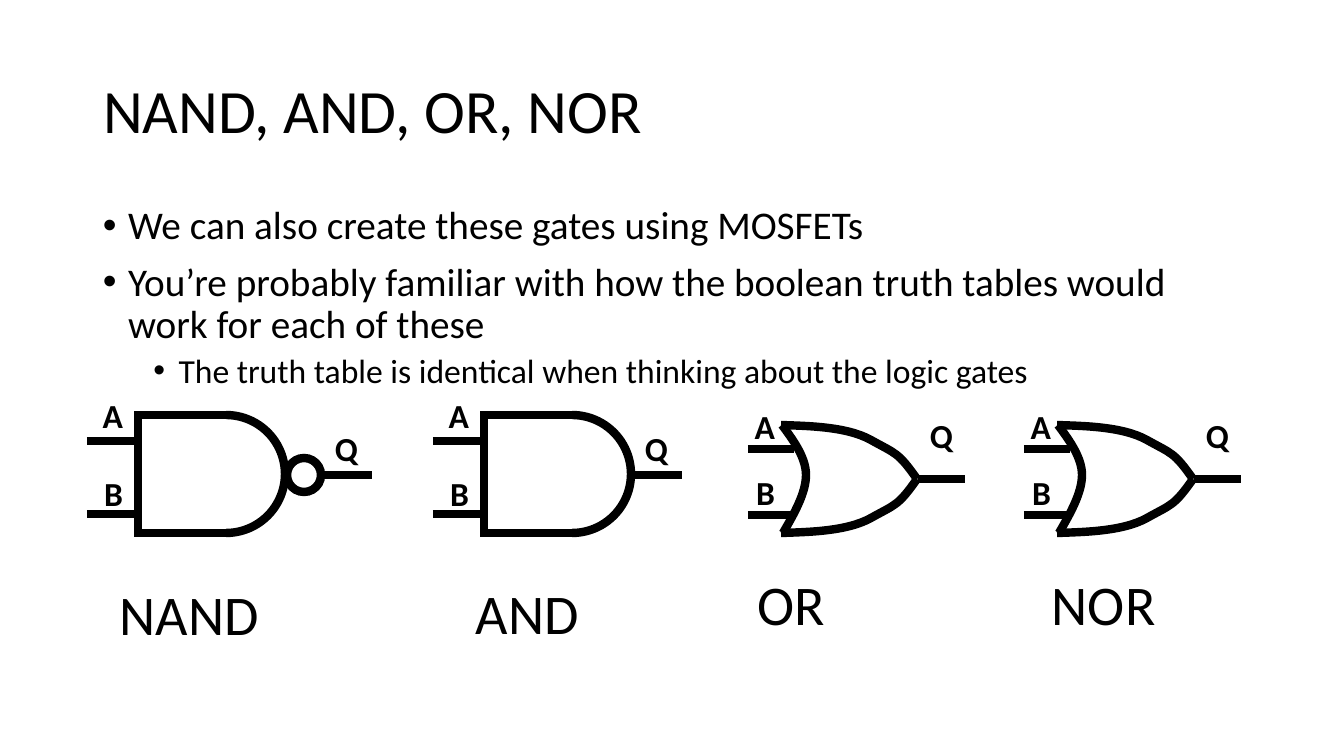
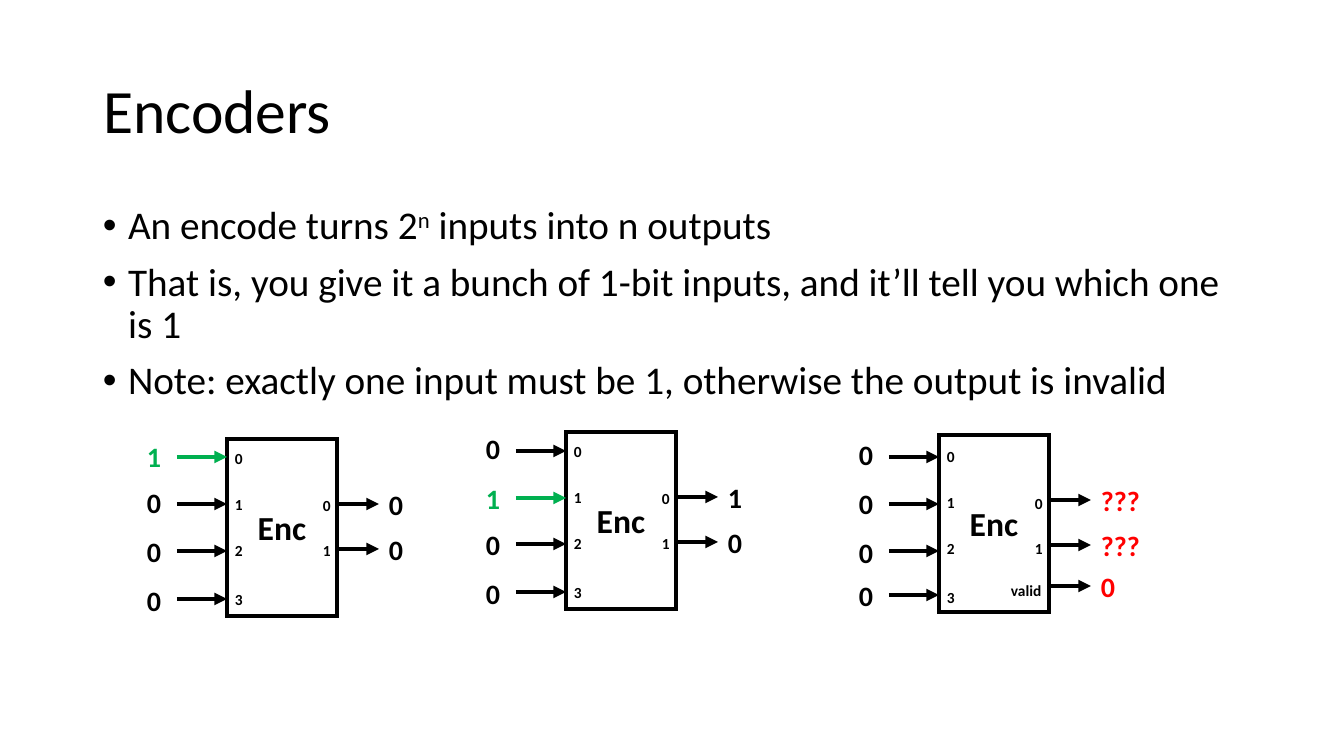
import pptx
import pptx.util
import pptx.dml.color
import pptx.enum.shapes
import pptx.enum.text
import pptx.oxml
import pptx.oxml.ns

PRESET = pptx.enum.shapes.MSO_SHAPE
ALIGN = pptx.enum.text.PP_ALIGN
ANCHOR = pptx.enum.text.MSO_ANCHOR
FIT = pptx.enum.text.MSO_AUTO_SIZE
BLACK, WHITE, GREEN, RED = "000000", "FFFFFF", "00B050", "FF0000"
FONT = "Calibri"
PX = 914400 / 100.8

# Content: bullets are (level, runs), and a run is (text, baseline in percent)
SLIDES = [
    ("NAND, AND, OR, NOR", [
        (0, [("We can also create these gates using MOSFETs", 0)]),
        (0, [("You’re probably familiar with how the boolean truth tables would "
              "work for each of these", 0)]),
        (1, [("The truth table is identical when thinking about the logic gates", 0)]),
    ]),
    ("Encoders", [
        (0, [("An encode turns 2", 0), ("n", 30), (" inputs into n outputs", 0)]),
        (0, [("That is, you give it a bunch of 1-bit inputs, and it’ll tell you "
              "which one is 1", 0)]),
        (0, [("Note: exactly one input must be 1, otherwise the output is invalid", 0)]),
    ]),
]
LEVELS = [  # size, left margin in inches, space before
    (28, 0.25, 10),
    (24, 0.75, 5),
]
GATE_NAMES = [  # name, left, top, width
    ("NAND", 110, 575, 181),
    ("AND", 466, 574, 150),
    ("OR", 748, 565, 150),
    ("NOR", 1042, 565, 150),
]
AND_GATES = [(138, 36), (484, 0)]  # left, room for the bubble
OR_GATES = [781, 1057]
# Each curve is a start point, then three control points per cubic
OR_TOP = [(0, 0), (24, 1), (65, 1), (90, 15), (115, 29), (117, 27), (136, 54)]
OR_BOTTOM = [(x, 108 - y) for x, y in OR_TOP]
OR_BACK = [(1, 0), (13, 16), (25, 33), (25, 50), (25, 68), (13, 89), (2, 108)]

# Vertical offsets are measured from the top of each encoder box
ENCODERS = [
    {"at": (227, 439), "inputs": "1000", "outputs": ["0", "0"], "output_color": BLACK,
     "arrows": (18, 65, 112, 160), "values": (-4, 42, 91, 140), "pin_shift": 0},
    {"at": (566, 432), "inputs": "0100", "outputs": ["1", "0"], "output_color": BLACK,
     "arrows": (19, 66, 112, 160), "values": (-5, 45, 91, 140), "pin_shift": 0},
    {"at": (939, 435), "inputs": "0000", "outputs": ["???", "???", "0"], "output_color": RED,
     "arrows": (22, 69, 116, 160), "values": (-2, 47, 96, 139), "pin_shift": 2},
]
INPUT_PINS = (5, 51, 97, 146)
OUTPUT_PINS = [  # name, left, top, width
    ("0", 86, 52, 42),
    ("1", 86, 97, 42),
    ("valid", 62, 139, 67),
]
OUTPUT_ARROWS = (65, 110, 151)


# Shared helpers
def emu(*lengths):
    return [round(length * PX) for length in lengths]


def rgb(color):
    return pptx.dml.color.RGBColor.from_string(color)


def assign(target, values):
    for name, value in values.items():
        setattr(target, name, value)


def append_xml(parent, tag, **attributes):
    child = pptx.oxml.parse_xml(f"<a:{tag} {pptx.oxml.ns.nsdecls('a')}/>")
    for name, value in attributes.items():
        child.set(name, value)
    parent.append(child)


def add_span(para, text, size, color=BLACK, bold=False):
    span = para.add_run()
    span.text = text
    assign(span.font, {"name": FONT, "size": pptx.util.Pt(size), "bold": bold})
    span.font.color.rgb = rgb(color)
    return span


def add_label(shapes, text, left, top, width, height, size,
              color=BLACK, bold=True, align=ALIGN.LEFT):
    box = shapes.add_textbox(*emu(left, top, width, height))
    assign(box.text_frame, {"word_wrap": True, "auto_size": FIT.SHAPE_TO_FIT_TEXT})
    para = box.text_frame.paragraphs[0]
    para.alignment = align
    add_span(para, text, size, color, bold)


def outline(shape, width, color=BLACK):
    shape.line.color.rgb = rgb(color)
    shape.line.width = pptx.util.Pt(width)
    append_xml(shape.line._get_or_add_ln(), "miter", lim="800000")


def add_wire(shapes, x1, x2, y, width=6, color=BLACK, arrow=False):
    kind = pptx.enum.shapes.MSO_CONNECTOR.STRAIGHT
    wire = shapes.add_connector(kind, *emu(x1, y, x2, y))
    outline(wire, width, color)
    if arrow:
        append_xml(wire.line._get_or_add_ln(), "tailEnd", type="triangle")
    append_xml(wire._element.spPr, "effectLst")


def draw_hollow(shape):
    shape.shadow.inherit = False
    shape.fill.background()
    outline(shape, 6)
    return shape


def add_hollow_preset(shapes, preset, left, top, size):
    return draw_hollow(shapes.add_shape(preset, *emu(left, top, size, size)))


def add_outline(shapes, left, top, points):
    corners = [emu(left + x, top + y) for x, y in points]
    builder = shapes.build_freeform(*corners[0], scale=1.0)
    builder.add_line_segments(corners[1:], close=False)
    return draw_hollow(builder.convert_to_shape())


def add_curve(shapes, left, top, points):
    """Turn each three segments of an open outline into one cubic curve."""
    shape = add_outline(shapes, left, top, points)
    segments = shape._element.xpath(".//a:lnTo")
    for start in range(0, len(segments), 3):
        cubic = pptx.oxml.parse_xml(f"<a:cubicBezTo {pptx.oxml.ns.nsdecls('a')}/>")
        segments[start].addprevious(cubic)
        for segment in segments[start:start + 3]:
            cubic.append(segment[0])
            segment.getparent().remove(segment)


def add_page(deck, title, bullets):
    page = deck.slides.add_slide(deck.slide_layouts[5])
    heading = page.shapes.title
    assign(heading, dict(zip(("left", "top", "width", "height"), emu(93, 41, 1159, 146))))
    assign(heading.text_frame, {"vertical_anchor": ANCHOR.MIDDLE, "word_wrap": True,
                                "auto_size": FIT.NONE})
    para = heading.text_frame.paragraphs[0]
    assign(para, {"alignment": ALIGN.LEFT, "line_spacing": 0.9})
    add_span(para, title, 44)

    body = page.shapes.add_textbox(*emu(93, 201, 1159, 480)).text_frame
    body.word_wrap = True
    for index, (level, runs) in enumerate(bullets):
        size, margin, before = LEVELS[level]
        para = body.add_paragraph() if index else body.paragraphs[0]
        assign(para, {"level": level, "line_spacing": 0.9,
                      "space_before": pptx.util.Pt(before)})
        properties = para._p.get_or_add_pPr()
        properties.set("marL", str(pptx.util.Inches(margin)))
        properties.set("indent", str(pptx.util.Inches(-0.25)))
        append_xml(properties, "buFont", typeface="Arial")
        append_xml(properties, "buChar", char="•")
        for text, baseline in runs:
            span = add_span(para, text, size)
            if baseline:
                span._r.get_or_add_rPr().set("baseline", str(baseline * 1000))
    return page


# Gates
def add_and_gate(page, left, bubble, top=415):
    gate = page.shapes.add_group_shape().shapes
    for name, label_y, wire_y in (("A", -25, 26), ("B", 53, 99)):
        add_label(gate, name, left - 112, top + label_y, 107, 50, 24, align=ALIGN.RIGHT)
        add_wire(gate, left - 51, left, top + wire_y)
    add_label(gate, "Q", left + 151 + bubble, top + 8, 67, 50, 24)
    add_wire(gate, left + 147 + bubble, left + 198 + bubble, top + 60)
    arc = add_hollow_preset(gate, PRESET.ARC, left + 29, top, 118)
    arc.adjustments[0], arc.adjustments[1] = 162, 54
    add_outline(gate, left, top, [(88, 118), (0, 118), (0, 0), (88, 0)])
    if bubble:
        add_hollow_preset(gate, PRESET.OVAL, left + 149, top + 43, 34)


def add_or_gate(page, left, top=425):
    gate = page.shapes.add_group_shape().shapes
    for name, label_y, wire_y in (("A", -24, 24), ("B", 42, 90)):
        add_label(gate, name, left - 41, top + label_y, 45, 50, 24, align=ALIGN.RIGHT)
        add_wire(gate, left - 33, left + 13, top + wire_y)
    add_label(gate, "Q", left + 139, top - 15, 70, 50, 24)
    add_wire(gate, left + 137, left + 184, top + 54)
    for curve in (OR_TOP, OR_BOTTOM, OR_BACK):
        add_curve(gate, left, top, curve)


# Encoders
def add_encoder(page, encoder):
    left, top = encoder["at"]
    pin_top = top + encoder["pin_shift"]
    group = page.shapes.add_group_shape().shapes
    box = group.add_shape(PRESET.RECTANGLE, *emu(left, top, 110, 177))
    box.shadow.inherit = False
    box.fill.solid()
    box.fill.fore_color.rgb = rgb(WHITE)
    outline(box, 3)
    box.text_frame.vertical_anchor = ANCHOR.MIDDLE
    para = box.text_frame.paragraphs[0]
    para.alignment = ALIGN.CENTER
    add_span(para, "Enc", 24, bold=True)

    rows = zip(encoder["inputs"], encoder["arrows"], encoder["values"], INPUT_PINS)
    for index, (value, arrow_y, value_y, pin_y) in enumerate(rows):
        color = GREEN if value == "1" else BLACK
        add_wire(group, left - 50, left, top + arrow_y, 3, color, arrow=True)
        add_label(group, value, left - 90, top + value_y, 42, 44, 20, color)
        add_label(group, str(index), left - 2, pin_top + pin_y, 42, 29, 11)

    rows = zip(encoder["outputs"], OUTPUT_ARROWS, OUTPUT_PINS)
    for value, arrow_y, (pin, pin_x, pin_y, pin_width) in rows:
        add_wire(group, left + 110, left + 152, top + arrow_y, 3, arrow=True)
        add_label(group, value, left + 152, top + arrow_y - 21, 67, 44, 20,
                  encoder["output_color"])
        add_label(group, pin, left + pin_x, pin_top + pin_y, pin_width, 29, 11)


# Build the deck
deck = pptx.Presentation()
deck.slide_width, deck.slide_height = emu(1344, 756)
gates_page, encoders_page = [add_page(deck, title, bullets) for title, bullets in SLIDES]
for left, bubble in AND_GATES:
    add_and_gate(gates_page, left, bubble)
for left in OR_GATES:
    add_or_gate(gates_page, left)
for name, left, top, width in GATE_NAMES:
    add_label(gates_page.shapes, name, left, top, width, 78, 40, bold=False)
for encoder in ENCODERS:
    add_encoder(encoders_page, encoder)
deck.save("out.pptx")
